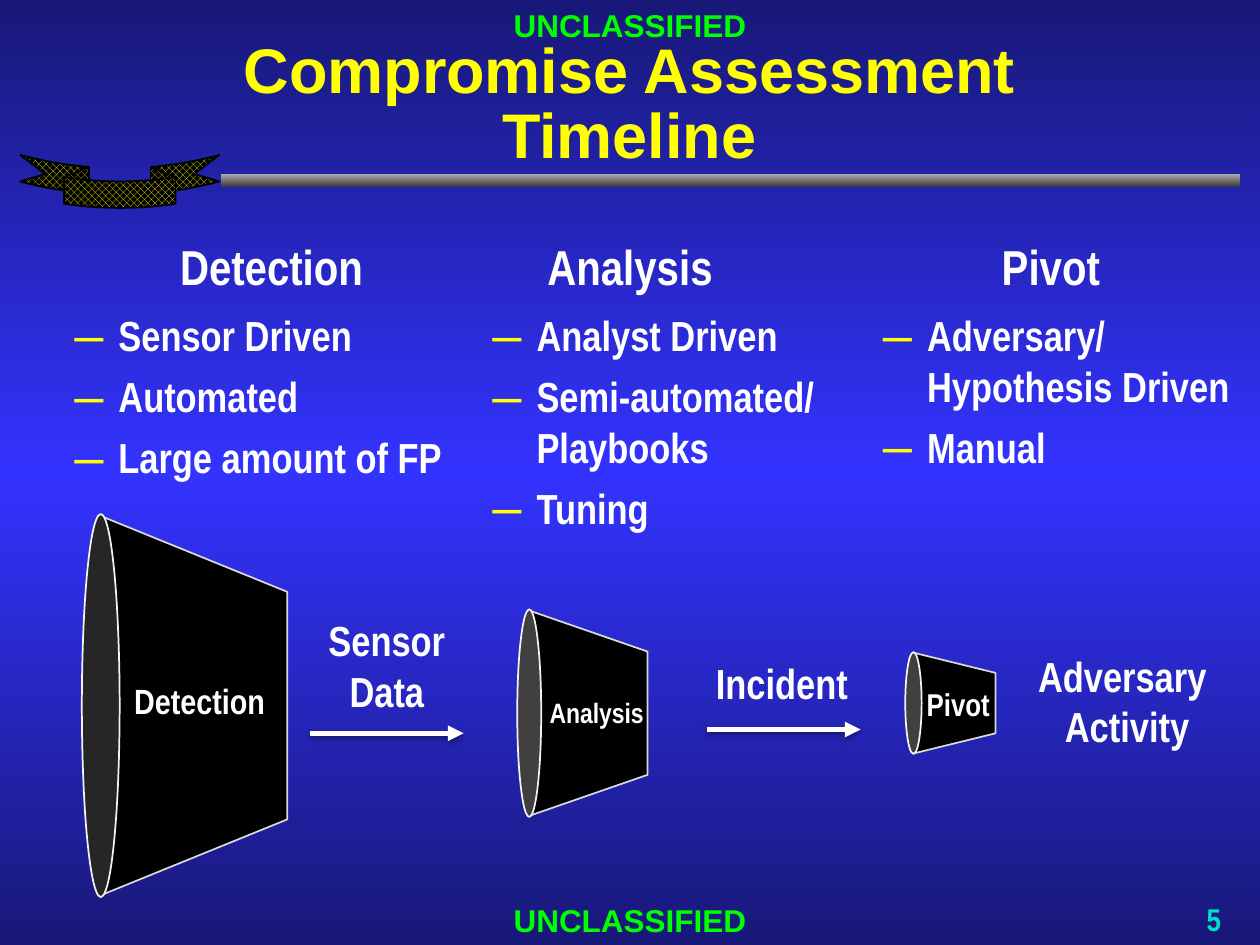
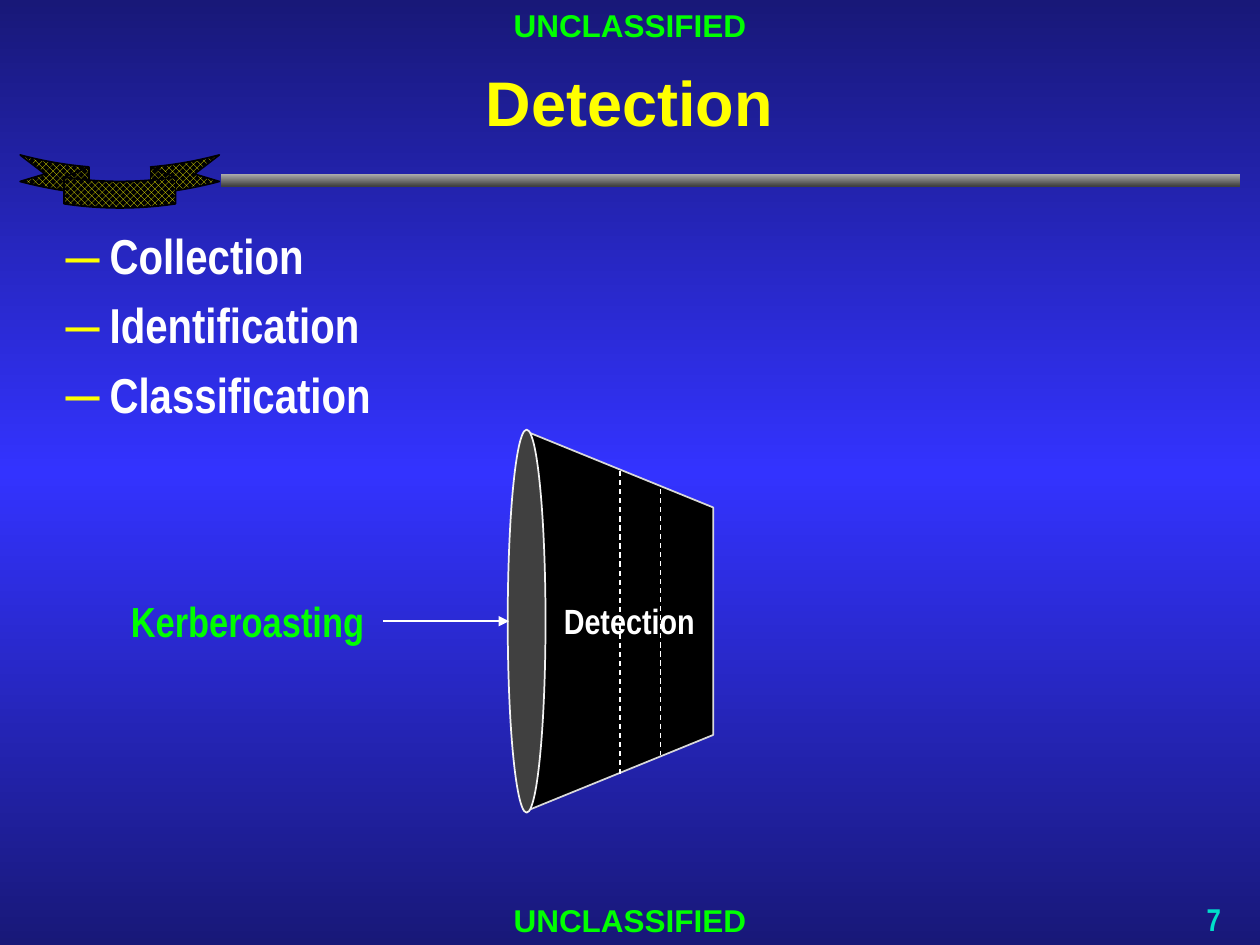
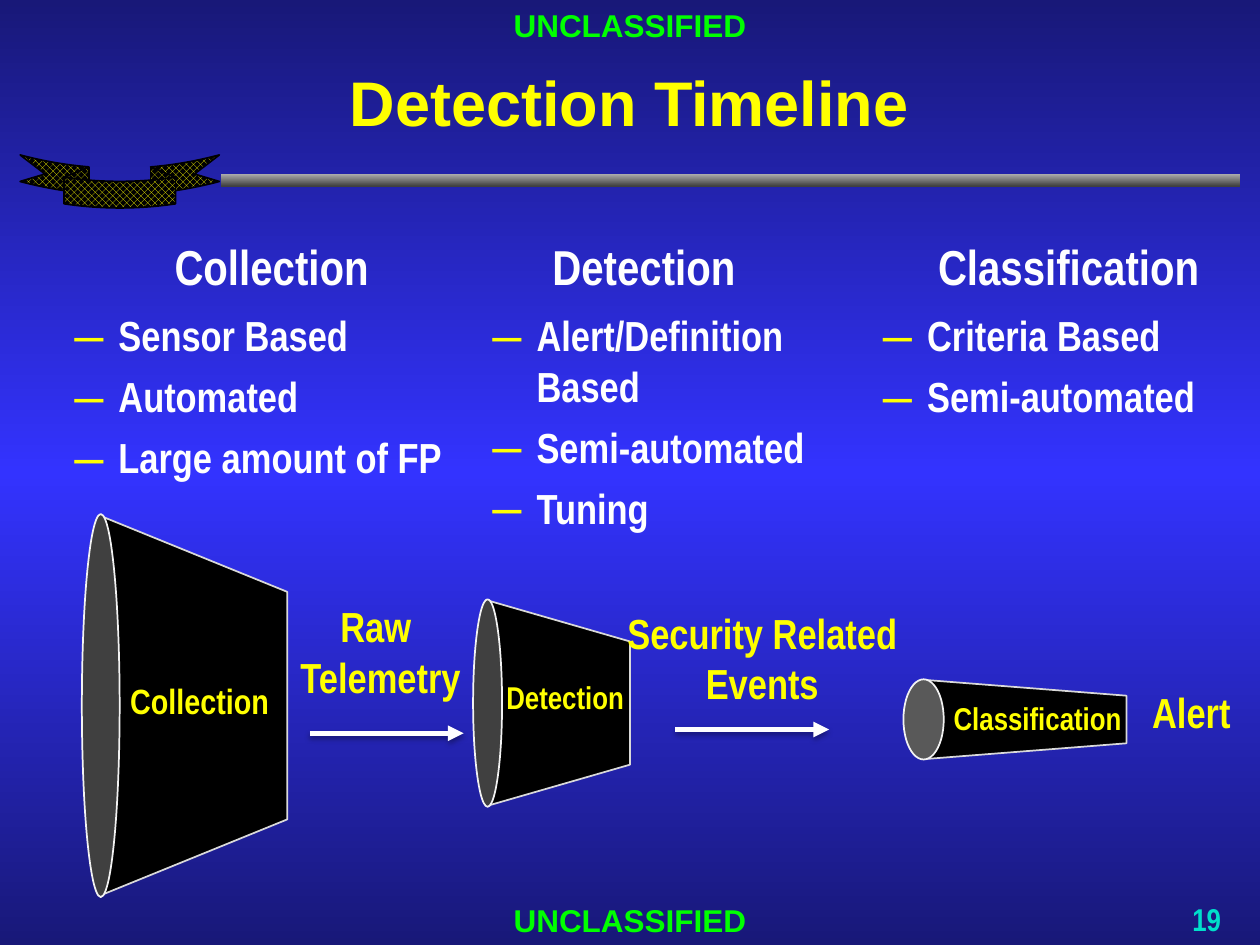
"""Build three slides on the detection timeline with shared bands, ribbon and cones."""
from copy import deepcopy
from dataclasses import dataclass

from lxml import etree
from pptx import Presentation
from pptx.dml.color import RGBColor
from pptx.enum.dml import MSO_LINE, MSO_PATTERN
from pptx.enum.shapes import MSO_CONNECTOR, MSO_SHAPE
from pptx.enum.text import MSO_ANCHOR, MSO_AUTO_SIZE, PP_ALIGN
from pptx.oxml import parse_xml
from pptx.oxml.ns import nsdecls, qn
from pptx.util import Inches, Pt

LEFT, CENTER, RIGHT = PP_ALIGN.LEFT, PP_ALIGN.CENTER, PP_ALIGN.RIGHT
TOP, MIDDLE = MSO_ANCHOR.TOP, MSO_ANCHOR.MIDDLE
RECT, OVAL = MSO_SHAPE.RECTANGLE, MSO_SHAPE.OVAL
TAPER, RIBBON = MSO_SHAPE.FLOWCHART_MANUAL_OPERATION, MSO_SHAPE.CURVED_UP_RIBBON
STRAIGHT, DASH = MSO_CONNECTOR.STRAIGHT, MSO_LINE.DASH
CHECKER, FIXED = MSO_PATTERN.LARGE_CHECKER_BOARD, MSO_AUTO_SIZE.NONE

SANS, NARROW = "Arial", "Arial Narrow"
WHITE, BLACK, YELLOW, GREEN, TEAL = "FFFFFF", "000000", "FFFF00", "00FF00", "00DFCA"
NAVY, BLUE, SILVER, COAL = "181878", "3333FF", "AEAEAE", "404040"
EDGE, RIM = "D9D9D9", "F2F2F2"

Box = tuple[float, float, float, float]
Point = tuple[float, float]


@dataclass
class Label:
    """A line or two of bold text in a box."""
    text: str
    box: Box
    size: float = 24
    color: str = WHITE
    font: str = NARROW
    align: PP_ALIGN = CENTER
    anchor: MSO_ANCHOR = TOP


@dataclass
class Cone:
    """A funnel lying on its side; x is the centre of its rim, y its axis."""
    x: float
    y: float
    width: float
    height: float
    rim: float
    fill: str = COAL


@dataclass
class Column:
    """A heading over a dashed list."""
    head: str
    span: Point
    items: list[str]


@dataclass
class Arrow:
    """A line from start to end."""
    start: Point
    end: Point
    width: float = 3
    head: bool = True
    shadow: bool = True


LISTS = [(0.49, 2.41, 3.32, 2.99), (3.81, 2.41, 3.32, 2.99), (6.91, 2.41, 3.07, 2.99)]


def rgb(color: str) -> RGBColor:
    """Turn a hex string into a colour."""
    return RGBColor.from_string(color)


def place(shape, box: Box) -> None:
    """Move a shape into a box."""
    shape.left, shape.top, shape.width, shape.height = map(Inches, box)


def blend(fill, root, stops: list[tuple[float, str]]) -> None:
    """Fill from top to bottom with colour stops."""
    fill.gradient()
    fill.gradient_angle = 270
    marks = root.find(".//" + qn("a:gsLst"))
    while len(marks) < len(stops):
        marks.append(deepcopy(marks[0]))
    for mark, (spot, color) in zip(fill.gradient_stops, stops):
        mark.position = spot
        mark.color.rgb = rgb(color)


def style(para, size: float, color: str, font: str = NARROW, align: PP_ALIGN = LEFT) -> None:
    """Set the bold font and alignment of a paragraph."""
    para.alignment = align
    para.font.name, para.font.size, para.font.bold = font, Pt(size), True
    para.font.color.rgb = rgb(color)


def setup(frame, anchor: MSO_ANCHOR = TOP) -> None:
    """Give a text frame the common wrap and anchor."""
    frame.word_wrap, frame.auto_size, frame.vertical_anchor = True, FIXED, anchor


def write(slide, label: Label):
    """Add a label and return its paragraph."""
    frame = slide.shapes.add_textbox(*map(Inches, label.box)).text_frame
    setup(frame, label.anchor)
    para = frame.paragraphs[0]
    para.text = label.text
    style(para, label.size, label.color, label.font, label.align)
    return para


def dash(para) -> None:
    """Hang a paragraph on a yellow dash."""
    props = para._p.get_or_add_pPr()
    props.set("marL", str(Inches(0.35)))
    props.set("indent", str(-Inches(0.35)))
    marks = parse_xml(
        f'<a:pPr {nsdecls("a")}><a:buClr><a:srgbClr val="{YELLOW}"/></a:buClr>'
        f'<a:buSzPct val="125000"/><a:buFont typeface="{SANS}"/><a:buChar char="–"/></a:pPr>')
    last = props.find(qn("a:defRPr"))
    for mark in list(marks):
        last.addprevious(mark)


def fill_list(frame, items: list[str], size: float) -> None:
    """Write dashed items into a text frame."""
    setup(frame)
    for i, item in enumerate(items):
        para = frame.add_paragraph() if i else frame.paragraphs[0]
        para.text = item
        para.space_before = para.space_after = Pt(3)
        style(para, size, WHITE)
        dash(para)


def draw(slide, kind, box: Box, edge: str = ""):
    """Add a shape without shadow, outlined only if an edge colour is given."""
    shape = slide.shapes.add_shape(kind, *map(Inches, box))
    shape.shadow.inherit = False
    if edge:
        shape.line.color.rgb = rgb(edge)
        shape.line.width = Pt(1)
    else:
        shape.line.fill.background()
    return shape


def cone(slide, item: Cone) -> None:
    """Draw a black taper and the rim at its wide end."""
    mid, tall = item.x + item.width / 2, item.height * 1.01
    body = draw(slide, TAPER, (mid - item.height / 2, item.y - item.width / 2,
                               item.height, item.width), EDGE)
    body.rotation = 270
    rim = draw(slide, OVAL, (item.x - item.rim / 2, item.y - tall / 2, item.rim, tall), RIM)
    for shape, color in ((body, BLACK), (rim, item.fill)):
        shape.fill.solid()
        shape.fill.fore_color.rgb = rgb(color)


def link(slide, item: Arrow) -> None:
    """Draw an arrow, or a dashed line if it has no head."""
    line = slide.shapes.add_connector(STRAIGHT, *map(Inches, item.start + item.end))
    line.line.color.rgb = rgb(WHITE)
    line.line.width = Pt(item.width)
    if item.head:
        etree.SubElement(line.line._get_or_add_ln(), qn("a:tailEnd"), type="triangle")
    else:
        line.line.dash_style = DASH
    effect = etree.SubElement(line._element.spPr, qn("a:effectLst"))
    if item.shadow:
        effect.append(parse_xml(
            f'<a:outerShdw {nsdecls("a")} blurRad="{Pt(3.1)}" dist="{Pt(1.8)}" dir="5400000" '
            f'rotWithShape="0"><a:srgbClr val="{BLACK}"><a:alpha val="35000"/></a:srgbClr>'
            '</a:outerShdw>'))


def start(deck, title: str, number: int, box: Box, items: list[str], size: float):
    """Add a slide with bands, ribbon, title, main list and number."""
    slide = deck.slides.add_slide(deck.slide_layouts[1])
    bar = draw(slide, RECT, (1.75, 1.38, 8.09, 0.1))
    blend(bar.fill, bar._element, [(0, SILVER), (0.98, COAL)])
    for top in (0, 7.1):
        write(slide, Label("UNCLASSIFIED", (0, top, 10, 0.4), 18, GREEN, SANS, anchor=MIDDLE))
    ribbon = draw(slide, RIBBON, (0.16, 1.23, 1.58, 0.42), BLACK)
    ribbon.rotation = 180
    for i, value in enumerate((0.5, 0.56, 0.25)):
        ribbon.adjustments[i] = value
    ribbon.fill.patterned()
    ribbon.fill.pattern = CHECKER
    ribbon.fill.fore_color.rgb, ribbon.fill.back_color.rgb = rgb(YELLOW), rgb(BLACK)
    page = write(slide, Label(str(number), (9.19, 7.15, 0.6, 0.34), 18, TEAL,
                              align=RIGHT, anchor=MIDDLE))
    page.line_spacing = 0.8
    head, body = slide.placeholders
    place(head, (1.75, 0.22, 6.49, 1.25))
    setup(head.text_frame, MIDDLE)
    para = head.text_frame.paragraphs[0]
    para.text = title
    para.line_spacing = Pt(37)
    style(para, 36, YELLOW, SANS, CENTER)
    place(body, box)
    fill_list(body.text_frame, items, size)
    return slide


def fill_in(slide, cones: list[Cone], links: list[Arrow], labels: list[Label]) -> None:
    """Draw the cones, then the lines, then the labels."""
    for item in cones:
        cone(slide, item)
    for item in links:
        link(slide, item)
    for item in labels:
        write(slide, item)


def timeline(deck, title: str, number: int, cols: list[Column], cones: list[Cone],
             links: list[Arrow], labels: list[Label]) -> None:
    """Build a slide of three columns over a row of cones."""
    slide = start(deck, title, number, LISTS[0], cols[0].items, 24)
    for col in cols:
        left, width = col.span
        write(slide, Label(col.head, (left, 1.83, width, 0.57), 28))
    for col, box in zip(cols[1:], LISTS[1:]):
        fill_list(slide.shapes.add_textbox(*map(Inches, box)).text_frame, col.items, 24)
    fill_in(slide, cones, links, labels)


def main() -> None:
    """Build and save the deck."""
    deck = Presentation()
    deck.slide_width, deck.slide_height = Inches(10), Inches(7.5)
    master = deck.slide_master
    blend(master.background.fill, master._element, [(0, NAVY), (0.5, BLUE), (1, NAVY)])

    timeline(
        deck, "Compromise Assessment\nTimeline", 5,
        [Column("Detection", (1.25, 1.81), ["Sensor Driven", "Automated", "Large amount of FP"]),
         Column("Analysis", (4.2, 1.6), ["Analyst Driven", "Semi-automated/\nPlaybooks", "Tuning"]),
         Column("Pivot", (7.54, 1.6), ["Adversary/\nHypothesis Driven", "Manual"])],
        [Cone(0.8, 5.6, 1.48, 3.01, 0.3, "262626"),
         Cone(4.2, 5.66, 0.94, 1.63, 0.19),
         Cone(7.25, 5.58, 0.65, 0.8, 0.13)],
        [Arrow((2.46, 5.82), (3.68, 5.82)), Arrow((5.61, 5.79), (6.83, 5.79))],
        [Label("Sensor\nData", (2.21, 4.83, 1.72, 0.91)),
         Label("Incident", (5.46, 5.17, 1.49, 0.5)),
         Label("Adversary \nActivity", (7.9, 5.11, 2.09, 0.91)),
         Label("Detection", (0.9, 5.34, 1.37, 0.44), 20),
         Label("Analysis", (4.09, 5.47, 1.29, 0.37), 16),
         Label("Pivot", (6.92, 5.39, 1.37, 0.4), 18)])

    slide = start(deck, "Detection", 7, (0.42, 1.74, 9.17, 5.24),
                  ["Collection", "Identification", "Classification"], 28)
    fill_in(
        slide, [Cone(4.18, 4.93, 1.48, 3.01, 0.3)],
        [Arrow((4.92, 3.74), (4.92, 6.15), 0.75, False, False),
         Arrow((5.24, 3.88), (5.24, 5.99), 0.75, False, False),
         Arrow((3.04, 4.93), (4.04, 4.93), 1, shadow=False)],
        [Label("Detection", (4.31, 4.71, 1.37, 0.44), 20),
         Label("Kerberoasting", (0.9, 4.68, 2.13, 0.5), color=GREEN)])

    timeline(
        deck, "Detection Timeline", 19,
        [Column("Collection", (1.25, 1.81), ["Sensor Based", "Automated", "Large amount of FP"]),
         Column("Detection", (4.2, 1.82), ["Alert/Definition Based", "Semi-automated", "Tuning"]),
         Column("Classification", (7.32, 2.32), ["Criteria Based", "Semi-automated"])],
        [Cone(0.8, 5.6, 1.48, 3.01, 0.3),
         Cone(3.87, 5.58, 1.13, 1.63, 0.23),
         Cone(7.33, 5.71, 1.61, 0.63, 0.32, "595959")],
        [Arrow((2.46, 5.82), (3.68, 5.82)), Arrow((5.36, 5.79), (6.58, 5.79))],
        [Label("Raw \nTelemetry", (2.16, 4.72, 1.72, 0.91), color=YELLOW),
         Label("Security Related Events", (4.88, 4.77, 2.34, 0.91), color=YELLOW),
         Label("Alert", (8.93, 5.4, 1.05, 0.5), color=YELLOW),
         Label("Collection", (0.9, 5.34, 1.37, 0.44), 20, YELLOW),
         Label("Detection", (3.91, 5.33, 1.15, 0.41), 18, YELLOW),
         Label("Classification", (7.41, 5.5, 1.65, 0.4), 18, YELLOW)])

    deck.save("out.pptx")


if __name__ == "__main__":
    main()
